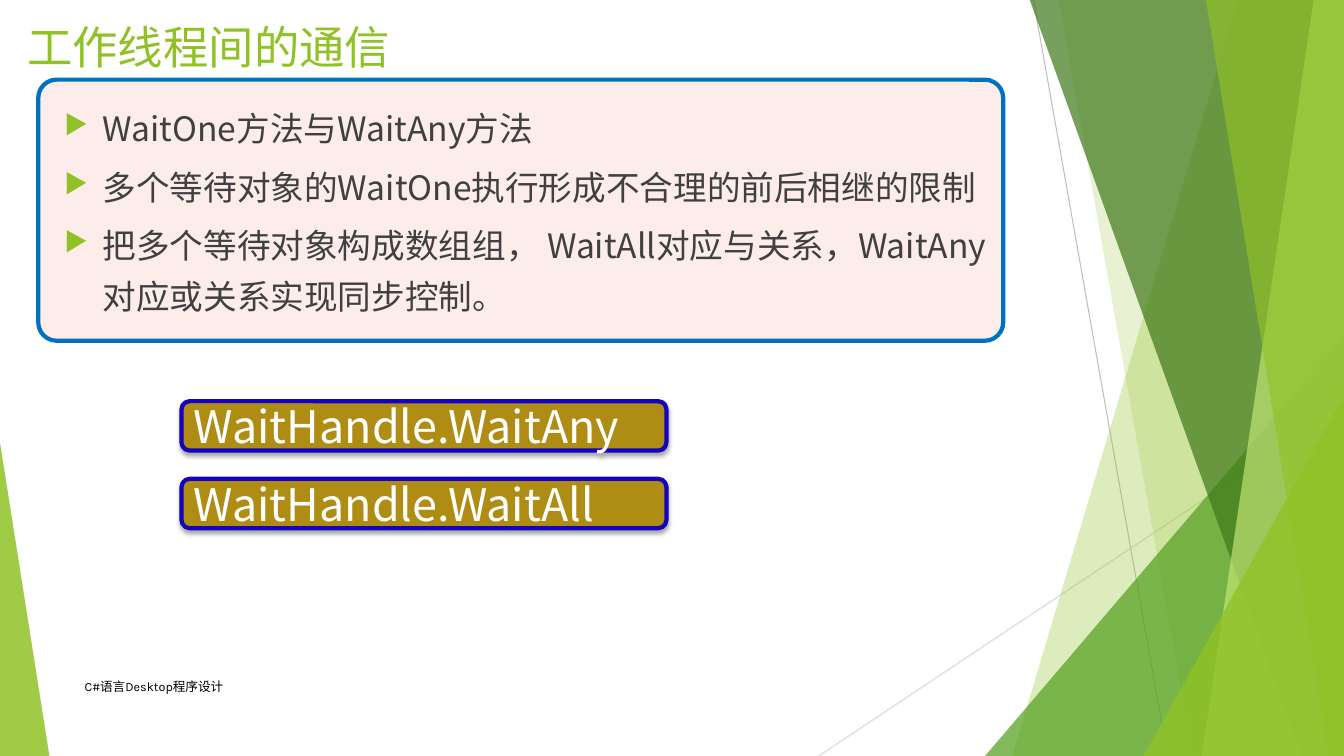
from dataclasses import dataclass

from lxml import etree
from pptx import Presentation
from pptx.dml.color import RGBColor
from pptx.enum.shapes import MSO_CONNECTOR, MSO_SHAPE
from pptx.enum.text import MSO_ANCHOR, MSO_AUTO_SIZE, PP_ALIGN
from pptx.oxml.ns import qn
from pptx.util import Pt

PX = 9144  # 100 px to the inch
WIDTH, HEIGHT = 1333, 750
TITLE_ONLY = 5

STRAIGHT = MSO_CONNECTOR.STRAIGHT
TRIANGLE = MSO_SHAPE.ISOSCELES_TRIANGLE
ROUNDED = MSO_SHAPE.ROUNDED_RECTANGLE
TOP, MIDDLE = MSO_ANCHOR.TOP, MSO_ANCHOR.MIDDLE
SHRINK, NO_FIT = MSO_AUTO_SIZE.TEXT_TO_FIT_SHAPE, MSO_AUTO_SIZE.NONE
LEFT = PP_ALIGN.LEFT

LIME = RGBColor(0x90, 0xC2, 0x26)
GREEN = RGBColor(0x54, 0xA0, 0x21)
DARK_GREEN = RGBColor(0x3F, 0x78, 0x19)
PALE_LIME = RGBColor(0xC0, 0xE4, 0x74)
GREY = RGBColor(0xBF, 0xBF, 0xBF)
LIGHT_GREY = RGBColor(0xD9, 0xD9, 0xD9)
CORAL = RGBColor(0xEB, 0x77, 0x66)
BLUE = RGBColor(0x00, 0x70, 0xC0)
INDIGO = RGBColor(0x14, 0x02, 0xBE)
GOLD = RGBColor(0xAF, 0x8C, 0x14)
CHARCOAL = RGBColor(0x40, 0x40, 0x40)
BLACK = RGBColor(0x00, 0x00, 0x00)
WHITE = RGBColor(0xFF, 0xFF, 0xFF)

LATIN, CJK = "Karla", "Noto Sans CJK SC"


@dataclass(frozen=True)
class Box:
    left: int
    top: int
    width: int
    height: int

    def emu(self) -> tuple[int, ...]:
        return tuple(v * PX for v in (self.left, self.top, self.width, self.height))


@dataclass(frozen=True)
class Hairline:
    start: tuple[int, int]
    end: tuple[int, int]
    color: RGBColor


@dataclass(frozen=True)
class Band:
    """A facet reaching the right slide edge, given by the x of its slanted left side."""
    top_x: int
    bottom_x: int
    color: RGBColor
    opacity: int


@dataclass(frozen=True)
class Wedge:
    box: Box
    apex: int
    color: RGBColor
    opacity: int


@dataclass(frozen=True)
class TextStyle:
    size: float
    font: str
    color: RGBColor


HAIRLINES = [
    Hairline((1025, 0), (1158, HEIGHT), GREY),
    Hairline((WIDTH, 403), (812, HEIGHT), LIGHT_GREY),
]
FACETS = [
    Band(1228, 1004, LIME, 30),
    Band(1050, 1183, LIME, 20),
    Wedge(Box(977, 333, 356, 417), 1, GREEN, 72),
    Band(1021, 1291, DARK_GREEN, 70),
    Band(1303, 1192, PALE_LIME, 70),
    Band(1196, 1318, LIME, 65),
    Wedge(Box(1134, 393, 199, 357), 1, LIME, 80),
    Wedge(Box(0, 439, 49, 311), 0, LIME, 85),
]
POINTS = [
    "WaitOne方法与WaitAny方法",
    "多个等待对象的WaitOne执行形成不合理的前后相继的限制",
    "把多个等待对象构成数组组， WaitAll对应与关系，WaitAny对应或关系实现同步控制。",
]
METHODS = ["WaitHandle.WaitAny", "WaitHandle.WaitAll"]
METHOD_TOP, METHOD_PITCH = 398, 77


def paint(shape, color: RGBColor, opacity: int = 100) -> None:
    shape.shadow.inherit = False
    shape.fill.solid()
    shape.fill.fore_color.rgb = color
    shape.line.fill.background()
    if opacity < 100:
        tint = shape.element.spPr.find(f"{qn('a:solidFill')}/{qn('a:srgbClr')}")
        etree.SubElement(tint, qn("a:alpha"), val=str(opacity * 1000))


def outline(shape, color: RGBColor) -> None:
    shape.line.color.rgb = color
    shape.line.width = Pt(3)


def add_drop_shadow(shape) -> None:
    effects = shape.element.spPr.find(qn("a:effectLst"))
    shadow = etree.SubElement(effects, qn("a:outerShdw"), blurRad=str(Pt(3)),
                              dist=str(Pt(2)), dir="5400000", rotWithShape="0")
    tint = etree.SubElement(shadow, qn("a:srgbClr"), val=str(BLACK))
    etree.SubElement(tint, qn("a:alpha"), val="35000")


def write(shape, text: str, style: TextStyle, anchor=TOP, fit=NO_FIT) -> None:
    frame = shape.text_frame
    frame.text = text
    frame.word_wrap = True
    frame.auto_size = fit
    frame.vertical_anchor = anchor
    for paragraph in frame.paragraphs:
        paragraph.alignment = LEFT
        for run in paragraph.runs:
            run.font.size = Pt(style.size)
            run.font.name = style.font
            run.font.color.rgb = style.color
            latin = run.font._element.find(qn("a:latin"))
            east_asian = etree.Element(qn("a:ea"), typeface=CJK)
            latin.addnext(east_asian)


def add_bullet(paragraph) -> None:
    props = paragraph._p.get_or_add_pPr()
    props.set("marL", str(38 * PX))
    props.set("indent", str(-38 * PX))
    color = etree.SubElement(props, qn("a:buClr"))
    etree.SubElement(color, qn("a:srgbClr"), val=str(LIME))
    etree.SubElement(props, qn("a:buSzPct"), val="80000")
    etree.SubElement(props, qn("a:buChar"), char="▶")


def draw_hairline(shapes, hairline: Hairline) -> None:
    ends = [v * PX for v in hairline.start + hairline.end]
    line = shapes.add_connector(STRAIGHT, *ends)
    line.line.color.rgb = hairline.color
    line.line.width = Pt(0.75)
    etree.SubElement(line._element.spPr, qn("a:effectLst"))


def draw_facet(shapes, facet: Band | Wedge) -> None:
    if isinstance(facet, Band):
        builder = shapes.build_freeform(facet.top_x, -1, scale=PX)
        builder.add_line_segments(
            [(WIDTH, -1), (WIDTH, HEIGHT), (facet.bottom_x, HEIGHT)])
        shape = builder.convert_to_shape()
    else:
        shape = shapes.add_shape(TRIANGLE, *facet.box.emu())
        shape.adjustments[0] = facet.apex
    paint(shape, facet.color, facet.opacity)


def draw_points(shapes) -> None:
    panel = shapes.add_shape(ROUNDED, *Box(38, 79, 957, 259).emu())
    panel.adjustments[0] = 0.07
    paint(panel, CORAL, 13)
    outline(panel, BLUE)

    points = shapes.add_textbox(*Box(54, 92, 948, 246).emu())
    write(points, "\n".join(POINTS), TextStyle(24, CJK, CHARCOAL), fit=SHRINK)
    for index, paragraph in enumerate(points.text_frame.paragraphs):
        add_bullet(paragraph)
        paragraph.line_spacing = 1.25
        paragraph.space_before = Pt(6 if index else 0)


def draw_method(shapes, index: int, name: str) -> None:
    box = Box(180, METHOD_TOP + index * METHOD_PITCH, 481, 49)
    button = shapes.add_shape(ROUNDED, *box.emu())
    paint(button, GOLD)
    outline(button, INDIGO)
    add_drop_shadow(button)
    write(button, name, TextStyle(32, CJK, WHITE), MIDDLE)


def main() -> None:
    deck = Presentation()
    deck.slide_width, deck.slide_height = WIDTH * PX, HEIGHT * PX
    slide = deck.slides.add_slide(deck.slide_layouts[TITLE_ONLY])
    shapes = slide.shapes

    for hairline in HAIRLINES:
        draw_hairline(shapes, hairline)
    for facet in FACETS:
        draw_facet(shapes, facet)

    title = shapes.title
    title.left, title.top, title.width, title.height = Box(17, 14, 397, 86).emu()
    write(title, "工作线程间的通信", TextStyle(32.4, LATIN, LIME))

    course = shapes.add_textbox(*Box(74, 661, 689, 40).emu())
    write(course, "C#语言Desktop程序设计", TextStyle(9, LATIN, BLACK), MIDDLE)

    draw_points(shapes)
    for index, name in enumerate(METHODS):
        draw_method(shapes, index, name)
    deck.save("out.pptx")


if __name__ == "__main__":
    main()
